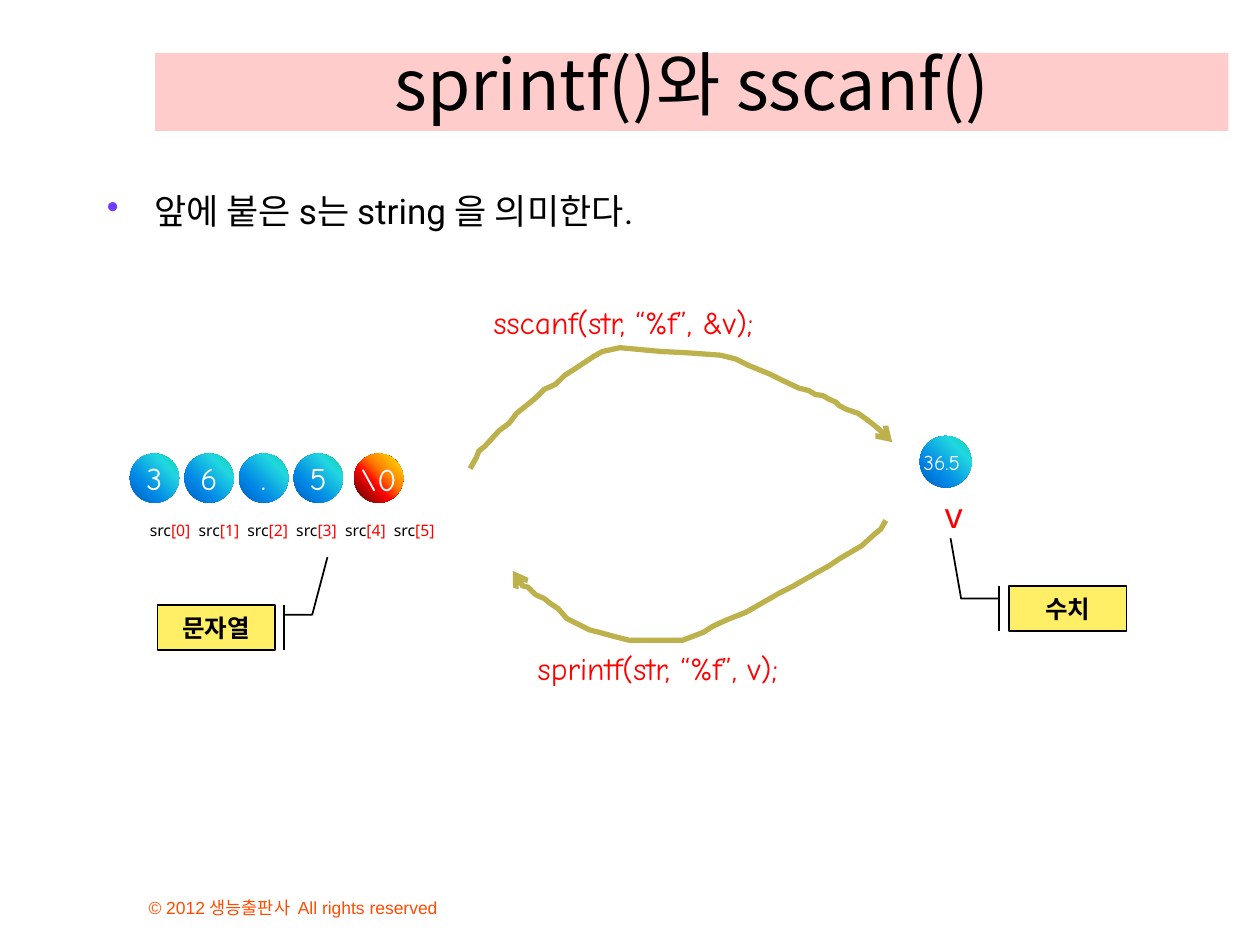
from lxml import etree
from pptx import Presentation
from pptx.dml.color import RGBColor
from pptx.enum.shapes import MSO_SHAPE
from pptx.enum.text import MSO_ANCHOR, MSO_AUTO_SIZE, PP_ALIGN
from pptx.oxml import parse_xml
from pptx.oxml.ns import nsdecls, qn
from pptx.util import Pt

BLACK = RGBColor(0x00, 0x00, 0x00)
WHITE = RGBColor(0xFF, 0xFF, 0xFF)
RED = RGBColor(0xFF, 0x00, 0x00)
ORANGE = RGBColor(0xFF, 0x4C, 0x00)
PINK = RGBColor(0xFF, 0xCC, 0xCC)
YELLOW = RGBColor(0xFF, 0xEF, 0x66)
OLIVE = RGBColor(0xBD, 0xB1, 0x4B)
PURPLE = RGBColor(0x70, 0x3D, 0xFF)
BLUE_STOPS = [(0, "03D4A8"), (25, "21D6E0"), (68, "0087E6"), (100, "005CBF")]
FIRE_STOPS = [(0, "FFF200"), (40, "FF7A00"), (60, "FF0300"), (100, "4D0808")]

KOREAN = "Noto Sans CJK KR"
COMIC = "Comic Neue"
SANS = "Noto Sans"
LEFT, CENTER = PP_ALIGN.LEFT, PP_ALIGN.CENTER
TOP, MIDDLE, BOTTOM = MSO_ANCHOR.TOP, MSO_ANCHOR.MIDDLE, MSO_ANCHOR.BOTTOM
OVAL = MSO_SHAPE.OVAL
CALLOUT = MSO_SHAPE.LINE_CALLOUT_2_BORDER_AND_ACCENT_BAR


def write(shape, text, size, name, color, alignment=LEFT, anchor=TOP, wrap=True):
    """Fill the first paragraph of a shape and format it; return the paragraph."""
    frame = shape.text_frame
    frame.word_wrap = wrap
    frame.auto_size = MSO_AUTO_SIZE.NONE
    frame.vertical_anchor = anchor
    paragraph = frame.paragraphs[0]
    paragraph.text = text
    paragraph.alignment = alignment
    paragraph.font.size = Pt(size)
    paragraph.font.name = name
    paragraph.font.color.rgb = color
    defaults = paragraph._p.pPr.find(qn("a:defRPr"))
    etree.SubElement(defaults, qn("a:ea"), typeface=KOREAN)
    return paragraph


def add_ball(shapes, left, top, size, stops):
    """Add a circle with a radial gradient that starts at its top right."""
    ball = shapes.add_shape(OVAL, Pt(left), Pt(top), Pt(size), Pt(size))
    ball.shadow.inherit = False
    ball.line.fill.background()
    stop_xml = "".join(
        f'<a:gs pos="{position * 1000}"><a:srgbClr val="{color}"/></a:gs>'
        for position, color in stops
    )
    gradient = parse_xml(
        f'<a:gradFill {nsdecls("a")} rotWithShape="1"><a:gsLst>{stop_xml}</a:gsLst>'
        '<a:path path="circle"><a:fillToRect l="100000" b="100000"/></a:path></a:gradFill>'
    )
    ball._element.spPr.find(qn("a:prstGeom")).addnext(gradient)
    return ball


presentation = Presentation()
presentation.slide_width = Pt(720)
presentation.slide_height = Pt(540)
slide = presentation.slides.add_slide(presentation.slide_layouts[5])
shapes = slide.shapes

# Title
title = shapes.title
title.left, title.top, title.width, title.height = Pt(88.6), Pt(30.2), Pt(613.4), Pt(44.6)
title.fill.solid()
title.fill.fore_color.rgb = PINK
write(title, "sprintf()와 sscanf()", 40, KOREAN, BLACK, CENTER, BOTTOM)

# Bulleted statement
body = shapes.add_textbox(Pt(54), Pt(105), Pt(646.6), Pt(327))
paragraph = body.text_frame.paragraphs[0]
properties = paragraph._p.get_or_add_pPr()
properties.set("marL", str(Pt(27)))
properties.set("indent", str(-Pt(27)))
bullet_color = etree.SubElement(properties, qn("a:buClr"))
etree.SubElement(bullet_color, qn("a:srgbClr"), val=str(PURPLE))
etree.SubElement(properties, qn("a:buChar"), char="•")
write(body, "앞에 붙은 s는 string 을 의미한다.", 20, "Roboto", BLACK)

# Index labels under the character array
labels = shapes.add_textbox(Pt(78.5), Pt(293.8), Pt(198), Pt(18))
paragraph = labels.text_frame.paragraphs[0]
tab_list = etree.SubElement(paragraph._p.get_or_add_pPr(), qn("a:tabLst"))
for index in range(1, 6):
    etree.SubElement(tab_list, qn("a:tab"), pos=str(Pt(27.9 * index)), algn="l")
write(labels, "", 9, SANS, BLACK)
for index in range(6):
    for text, color in (("src", BLACK), (f"[{index}]" + "\t" * (index < 5), RED)):
        run = paragraph.add_run()
        run.text = text
        run.font.color.rgb = color

# Character array
for index, character in enumerate("36.5"):
    ball = add_ball(shapes, 74.2 + 31.2 * index, 259.2, 28.1, BLUE_STOPS)
    frame = ball.text_frame
    frame.margin_left = frame.margin_right = frame.margin_top = frame.margin_bottom = 0
    write(ball, character, 18, COMIC, WHITE, CENTER, MIDDLE, False)

# Terminator and number, each a ball with its caption
for ball_box, stops, caption_box, text, size in (
    ((202.3, 259.2, 28.1), FIRE_STOPS, (198.7, 259.2, 36.7, 28.8), "\\0", 18),
    ((525.6, 249.1, 29.5), BLUE_STOPS, (520.6, 253.4, 51.8, 21.6), "36.5", 12),
):
    group = shapes.add_group_shape()
    add_ball(group.shapes, *ball_box, stops)
    caption = group.shapes.add_textbox(*map(Pt, caption_box))
    write(caption, text, size, COMIC, WHITE)

# Callouts
for left, top, text, adjustments in (
    (90, 345.6, "문자열", (0.22, 1.08, 0.22, 1.32, -1.05, 1.45)),
    (576.7, 334.8, "수치", (0.28, -0.09, 0.28, -0.41, -1.05, -0.5)),
):
    callout = shapes.add_shape(CALLOUT, Pt(left), Pt(top), Pt(67), Pt(25.9))
    callout.shadow.inherit = False
    for index, value in enumerate(adjustments):
        callout.adjustments[index] = value
    callout.fill.solid()
    callout.fill.fore_color.rgb = YELLOW
    callout.line.color.rgb = BLACK
    callout.line.width = Pt(1)
    write(callout, text, 14, KOREAN, BLACK, CENTER, MIDDLE).font.bold = True

# Hand-drawn arrows
sscanf_points = [
    (268.6, 267.8), (272.2, 261.4), (273.6, 257.8), (277.2, 254.9), (285.1, 246.2),
    (290.9, 241.9), (295.2, 236.2), (306, 227.5), (311, 222.5), (317.5, 219.6),
    (322.6, 214.6), (330.5, 209.5), (339.1, 203.8), (344.2, 200.9), (354.2, 198.7),
    (378, 200.9), (392.4, 201.6), (411.8, 203), (420.5, 205.2), (427.7, 208.8),
    (439.9, 213.8), (447.1, 217.4), (456.5, 221.8), (462.2, 223.2), (465.8, 225.4),
    (470.2, 226.1), (473.8, 228.2), (477.4, 229.7), (479.5, 231.8), (483.8, 234),
    (490.3, 236.2), (495.4, 239.8), (499, 242.6), (503.3, 246.2), (509.8, 252.7),
]
sprintf_points = [
    (506.2, 297.4), (503.3, 302.4), (499.7, 305.3), (492.5, 311.8), (480.2, 319),
    (473.8, 323.3), (467.3, 326.9), (452.2, 335.5), (445, 339.1), (431.3, 347),
    (426.2, 349.9), (415.4, 354.2), (407.5, 357.8), (401.8, 361.4), (390.2, 365.8),
    (383, 365.8), (359.3, 365.8), (350.6, 363.6), (342.7, 361.4), (337, 360),
    (329.8, 356.4), (324, 353.5), (319, 347.8), (314.6, 344.9), (311, 342),
    (306, 339.8), (301.7, 335.5), (298.8, 334.8), (295.2, 331.9), (293, 326.2),
]
for points in (sscanf_points, sprintf_points):
    start, *rest = [(Pt(x), Pt(y)) for x, y in points]
    builder = shapes.build_freeform(*start)
    builder.add_line_segments(rest, close=False)
    arrow = builder.convert_to_shape()
    arrow.shadow.inherit = False
    arrow.fill.background()
    arrow.line.color.rgb = OLIVE
    arrow.line.width = Pt(3)
    etree.SubElement(arrow.line._get_or_add_ln(), qn("a:tailEnd"), type="arrow")

# Plain captions and the copyright line
for box, text, size, name, color, anchor, wrap in (
    ((532.8, 278.6, 44.6, 31.7), "v", 20, SANS, RED, TOP, True),
    ((275, 169.9, 198, 28.8), "sscanf(str, “%f”, &v);", 18, COMIC, RED, TOP, False),
    ((300.2, 367.2, 187.2, 28.8), "sprintf(str, “%f”, v);", 18, COMIC, RED, TOP, False),
    ((77.8, 498.2, 275.8, 30.2), "© 2012 생능출판사  All rights reserved", 10, "Arial",
     ORANGE, BOTTOM, True),
):
    textbox = shapes.add_textbox(*map(Pt, box))
    write(textbox, text, size, name, color, LEFT, anchor, wrap)

presentation.save("out.pptx")
